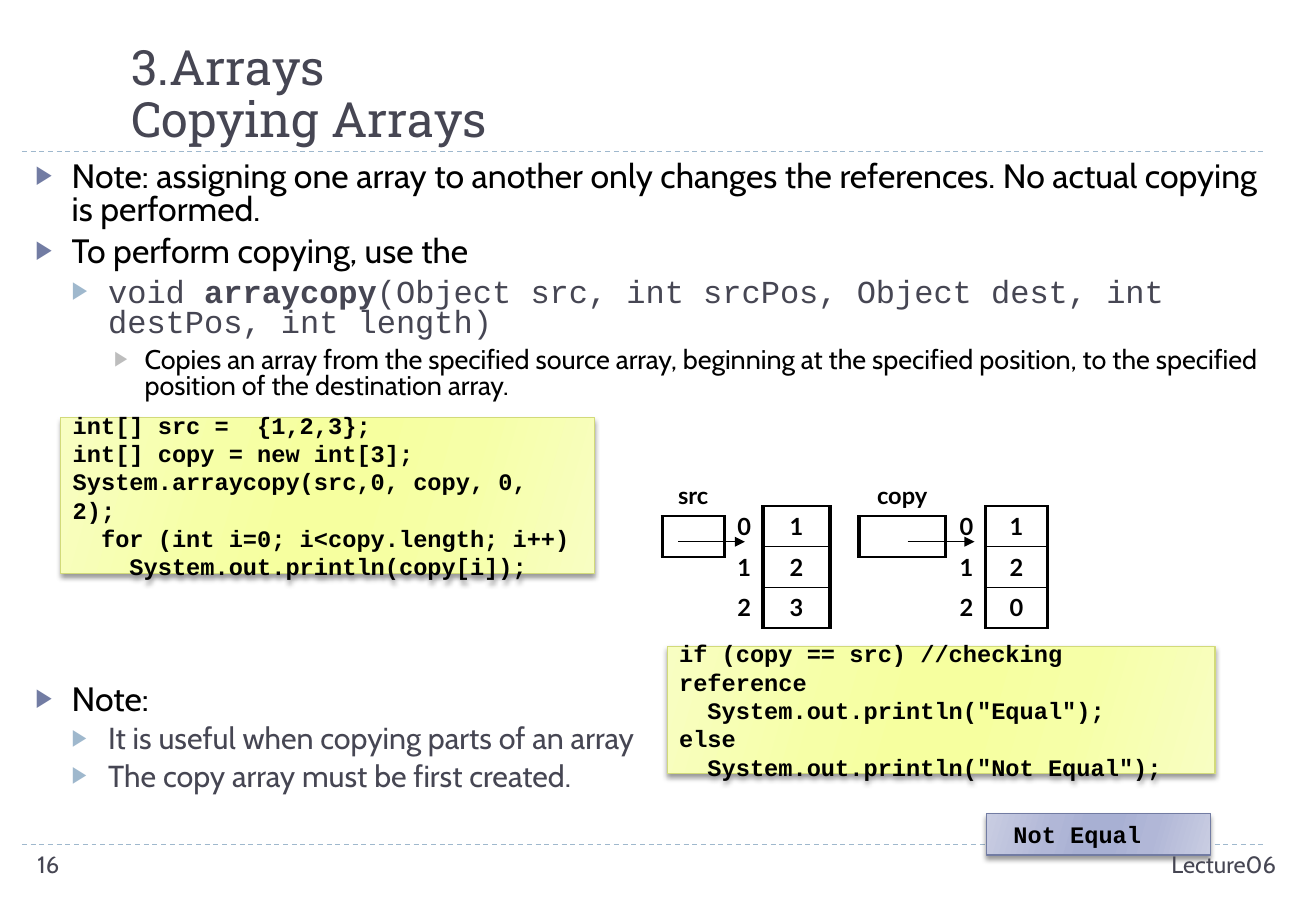
from copy import deepcopy
from dataclasses import dataclass

from lxml.etree import SubElement as Sub
from pptx import Presentation
from pptx.dml.color import RGBColor as RGB
from pptx.enum.dml import MSO_LINE
from pptx.enum.shapes import MSO_CONNECTOR as CONN, MSO_SHAPE as SHAPE
from pptx.enum.text import MSO_ANCHOR as ANCHOR, MSO_AUTO_SIZE as FIT, PP_ALIGN as ALIGN
from pptx.oxml.ns import qn
from pptx.util import Inches, Pt


@dataclass(frozen=True)
class Theme:
    """Colours, fonts and type sizes of the slide."""
    ink: str = "000000"
    slate: str = "464653"
    rule: str = "9FB8CD"
    bullets: tuple = ("727CA3", "9FB8CD", "BDBDBD")
    code_fill: tuple = ("F8FEC2", "F6FFA7", "F6FF9F")
    code_line: str = "D2DA7A"
    output_fill: tuple = ("C9CDE2", "B1B7D7", "A8B0D3")
    output_line: str = "727CA3"
    head: str = "Roboto Slab"
    text: str = "Cabin"
    mono: str = "Courier New"
    cell: str = "Lato"
    title_size: float = 28.8
    sizes: tuple = (20, 18, 16)
    call_size: float = 19
    small: float = 14


T = Theme()
COLS, ROWS = 108.3, 75
ROW = 3.33
NO_STYLE = "{2D5ABB26-0587-4C30-8999-92F81FD0307C}"


def grid(*cells):
    """Turn grid columns and rows into lengths."""
    return [Inches(c / 10) for c in cells]


def place(sp, *at):
    """Move a shape to its place on the grid."""
    sp.left, sp.top, sp.width, sp.height = grid(*at)


def add_run(p, text, size, font, color, bold=False):
    """Add one formatted run."""
    r = p.add_run()
    r.text = text
    f = r.font
    f.size, f.name, f.bold = Pt(size), font, bold
    f.color.rgb = RGB.from_string(color)
    return r


def add_line(s, x1, y1, x2, y2, color, dash=False, arrow=False):
    """Draw a thin rule or arrow."""
    ln = s.shapes.add_connector(CONN.STRAIGHT, *grid(x1, y1, x2, y2))
    ln.line.color.rgb = RGB.from_string(color)
    ln.line.width = Pt(0.75)
    if dash:
        ln.line.dash_style = MSO_LINE.DASH
    if arrow:
        Sub(ln.line._get_or_add_ln(), qn("a:tailEnd"), type="triangle")
    Sub(ln._element.spPr, qn("a:effectLst"))


def add_title(s, *lines):
    """Fill the title placeholder, one line below the other."""
    sp = s.shapes.title
    place(sp, 9.8, 1.6, 88.1, 10.8)
    tf = sp.text_frame
    tf.auto_size, tf.vertical_anchor = FIT.NONE, ANCHOR.BOTTOM
    tf.margin_bottom = Inches(0.02)
    p = tf.paragraphs[0]
    p.alignment, p.line_spacing = ALIGN.LEFT, 0.89
    for i, line in enumerate(lines):
        if i:
            p.add_line_break()
        r = add_run(p, line, T.title_size, T.head, T.slate)
    for br in p._p.findall(qn("a:br")):
        br.insert(0, deepcopy(r._r.rPr))


def add_bullet(p, level):
    """Give a paragraph its indent and triangle bullet."""
    p.level = level
    pPr = p._p.get_or_add_pPr()
    pPr.set("marL", str(Inches(0.3 * (level + 1))))
    pPr.set("indent", str(-Inches((0.3, 0.3, 0.25)[level])))
    Sub(Sub(pPr, qn("a:buClr")), qn("a:srgbClr"), val=T.bullets[level])
    Sub(pPr, qn("a:buSzPct"), val="76000")
    Sub(pPr, qn("a:buChar"), char="▶")


def add_body(s, items):
    """Fill the body placeholder with (level, space before, content)."""
    sp = s.placeholders[1]
    place(sp, 1.9, 12.9, 103.8, 55.8)
    tf = sp.text_frame
    tf.auto_size, tf.vertical_anchor = FIT.NONE, ANCHOR.TOP
    for i, (level, before, content) in enumerate(items):
        p = tf.add_paragraph() if i else tf.paragraphs[0]
        add_bullet(p, level)
        p.line_spacing, p.space_before, p.space_after = 0.8, Pt(before), Pt(0)
        color = T.slate if level == 1 else T.ink
        if isinstance(content, str):
            add_run(p, content, T.sizes[level], T.text, color)
        else:
            for text, bold in content:
                add_run(p, text, T.call_size, T.mono, color, bold)


def add_box(s, at, lines, shades, edge, inset=0.1):
    """Draw a glossy rectangle of monospaced lines."""
    sp = s.shapes.add_shape(SHAPE.RECTANGLE, *grid(*at))
    sp.fill.gradient()
    sp.fill.gradient_angle = 344
    stops = sp._element.spPr.find(".//" + qn("a:gsLst"))
    for old in list(stops):
        stops.remove(old)
    for pos, shade in zip((0, 30, 45, 55, 73, 100), shades + shades[::-1]):
        Sub(Sub(stops, qn("a:gs"), pos=str(pos * 1000)), qn("a:srgbClr"), val=shade)
    sp.line.color.rgb = RGB.from_string(edge)
    sp.line.width = Pt(0.75)
    sp.shadow.inherit = False
    shadow = Sub(sp._element.spPr.find(qn("a:effectLst")), qn("a:outerShdw"),
                 blurRad=str(Pt(3)), dist=str(Pt(2)), dir="5400000", rotWithShape="0")
    Sub(Sub(shadow, qn("a:srgbClr"), val=T.ink), qn("a:alpha"), val="40000")
    tf = sp.text_frame
    tf.word_wrap, tf.vertical_anchor = True, ANCHOR.MIDDLE
    tf.margin_left = Inches(inset)
    for i, line in enumerate(lines):
        p = tf.add_paragraph() if i else tf.paragraphs[0]
        p.alignment = ALIGN.LEFT
        add_run(p, line, T.small, T.mono, T.ink, True)


def add_border(cell, sides):
    """Draw cell sides, given in L, R, T, B order."""
    tcPr = cell._tc.get_or_add_tcPr()
    for side in sides:
        ln = Sub(tcPr, qn("a:ln" + side), w=str(Pt(2.25 if side in "LR" else 1)))
        Sub(Sub(ln, qn("a:solidFill")), qn("a:srgbClr"), val=T.ink)


def add_memory(s, x, y, col, rows):
    """Draw a two-column memory table whose right cells below the top are framed."""
    n = len(rows)
    frame = s.shapes.add_table(n, 2, *grid(x, y, 2 * col, n * ROW))
    tbl = frame.table
    tbl.first_row = tbl.horz_banding = False
    tbl._tbl.tblPr.find(qn("a:tableStyleId")).text = NO_STYLE
    for c in tbl.columns:
        c.width = grid(col)[0]
    for i, row in enumerate(rows):
        tbl.rows[i].height = grid(ROW)[0]
        for j, text in enumerate(row):
            cell = tbl.cell(i, j)
            p = cell.text_frame.paragraphs[0]
            p.alignment = ALIGN.CENTER if j else ALIGN.RIGHT
            if text:
                add_run(p, text, T.small, T.cell, T.ink, True)
            else:
                Sub(p._p, qn("a:endParaRPr"), sz=str(T.small * 100))
            add_border(cell, ("LRTB" if j else "R") if i else "B" * j)
            cell.fill.background()


def add_label(s, at, text, align):
    """Add a footer label."""
    tf = s.shapes.add_textbox(*grid(*at)).text_frame
    tf.word_wrap = True
    tf.paragraphs[0].alignment = align
    add_run(tf.paragraphs[0], text, T.small, T.text, T.slate)


def main():
    """Build and save the slide."""
    prs = Presentation()
    prs.slide_width, prs.slide_height = grid(COLS, ROWS)
    s = prs.slides.add_slide(prs.slide_layouts[1])
    for y in (12.5, 69.5):
        add_line(s, 1.8, y, 104.2, y, T.rule, dash=True)
    add_title(s, "3.Arrays", "Copying Arrays")
    add_body(s, [
        (0, 0, "Note: assigning one array to another only changes the references. No actual copying is performed."),
        (0, 6, "To perform copying, use the"),
        (1, 5, [("void ", False), ("arraycopy", True),
                ("(Object src, int srcPos, Object dest, int destPos, int length)", False)]),
        (2, 5, "Copies an array from the specified source array, beginning at the specified position, "
               "to the specified position of the destination array."),
        (0, 169, "Note:"),
        (1, 5, "It is useful when copying parts of an array"),
        (1, 5, "The copy array must be first created."),
    ])
    add_box(s, (5, 34.4, 43.9, 12.8), [
        "int[] src =  {1,2,3};", "int[] copy = new int[3];",
        "System.arraycopy(src,0, copy, 0, 2);",
        "  for (int i=0; i<copy.length; i++)", "    System.out.println(copy[i]);",
    ], T.code_fill, T.code_line)
    add_box(s, (54.9, 53.2, 45.1, 10.5), [
        "if (copy == src) //checking reference", '  System.out.println("Equal");',
        "else", '  System.out.println("Not Equal");',
    ], T.code_fill, T.code_line)
    for name, values, x, col, ref_x, ref_col, arrow_x in (
            ("src", "123", 57.3, 5.5, 49.4, 5.1, 55.8),
            ("copy", "120", 76, 5.1, 63.6, 7.1, 74.7)):
        add_memory(s, x, 38.3, col, [("", "")] + [(str(i), v) for i, v in enumerate(values)])
        add_memory(s, ref_x, 39.1, ref_col, [("", name), ("", "")])
        add_line(s, arrow_x, 44.6, arrow_x + 5.5, 44.6, T.ink, arrow=True)
    add_box(s, (81.2, 67, 18.4, 3.4), ["Not Equal"], T.output_fill, T.output_line, 0.22)
    add_label(s, (2.1, 69.5, 23.5, 4), "16", ALIGN.LEFT)
    add_label(s, (78.9, 69.5, 27.1, 4), "Lecture06", ALIGN.RIGHT)
    prs.save("out.pptx")


if __name__ == "__main__":
    main()
